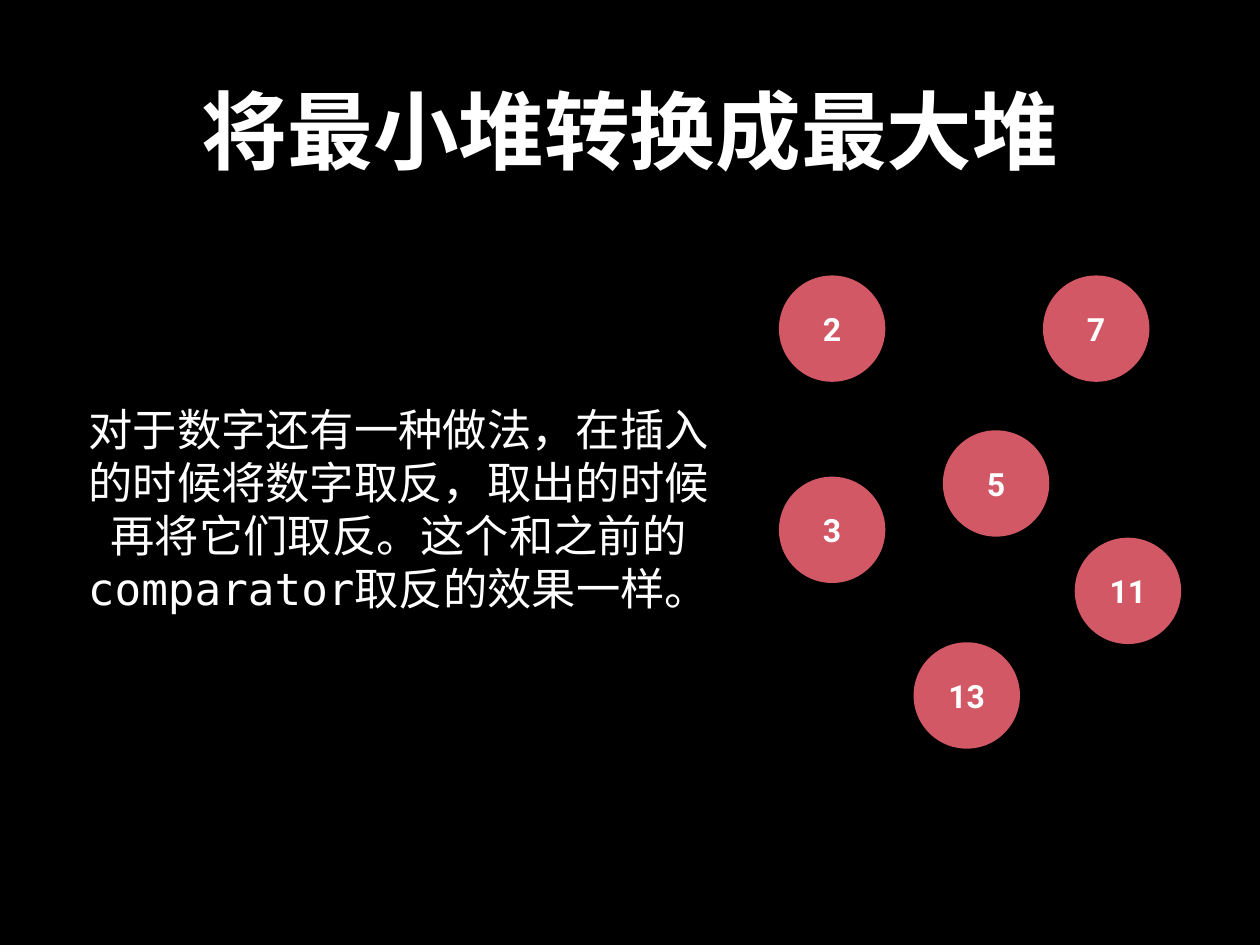
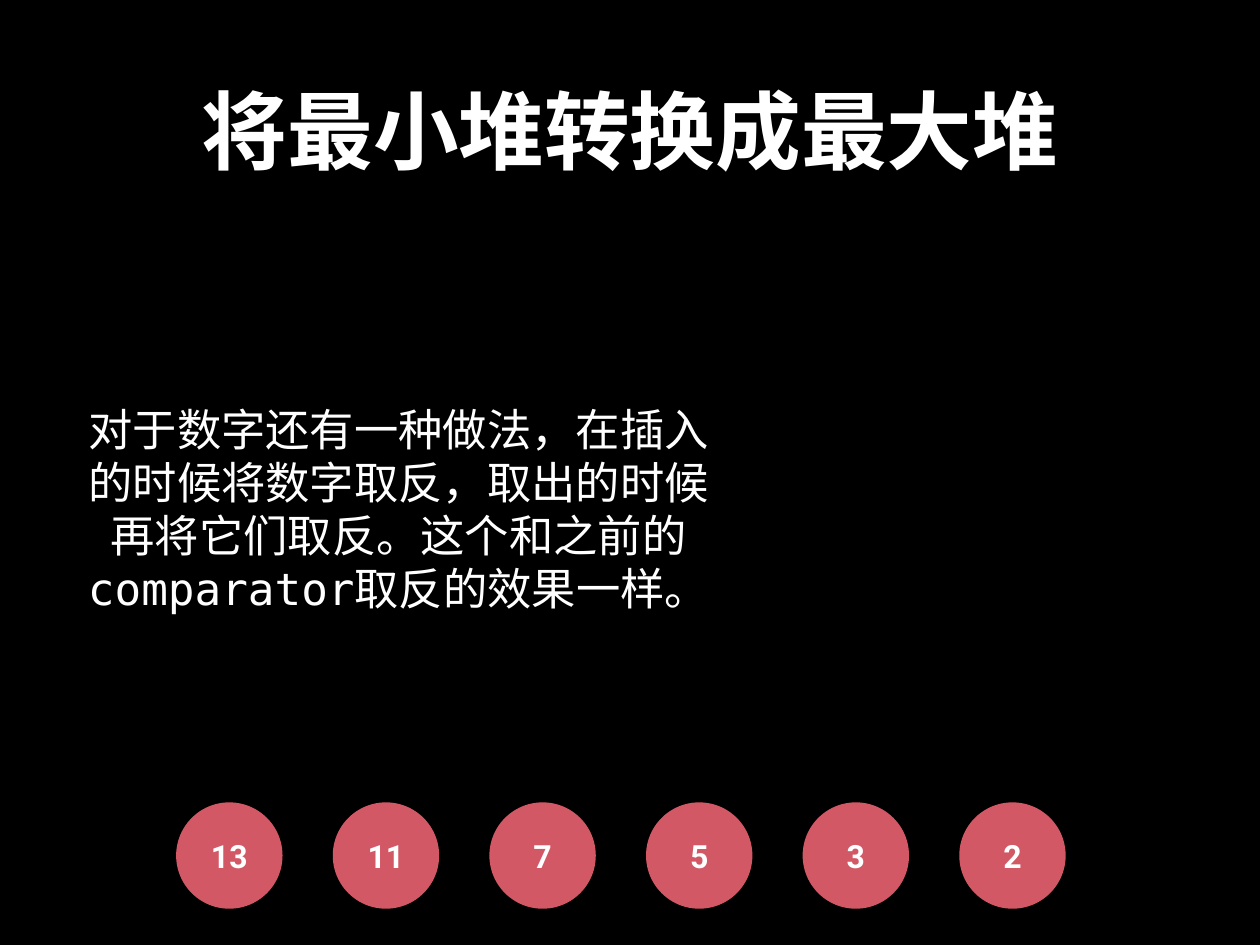
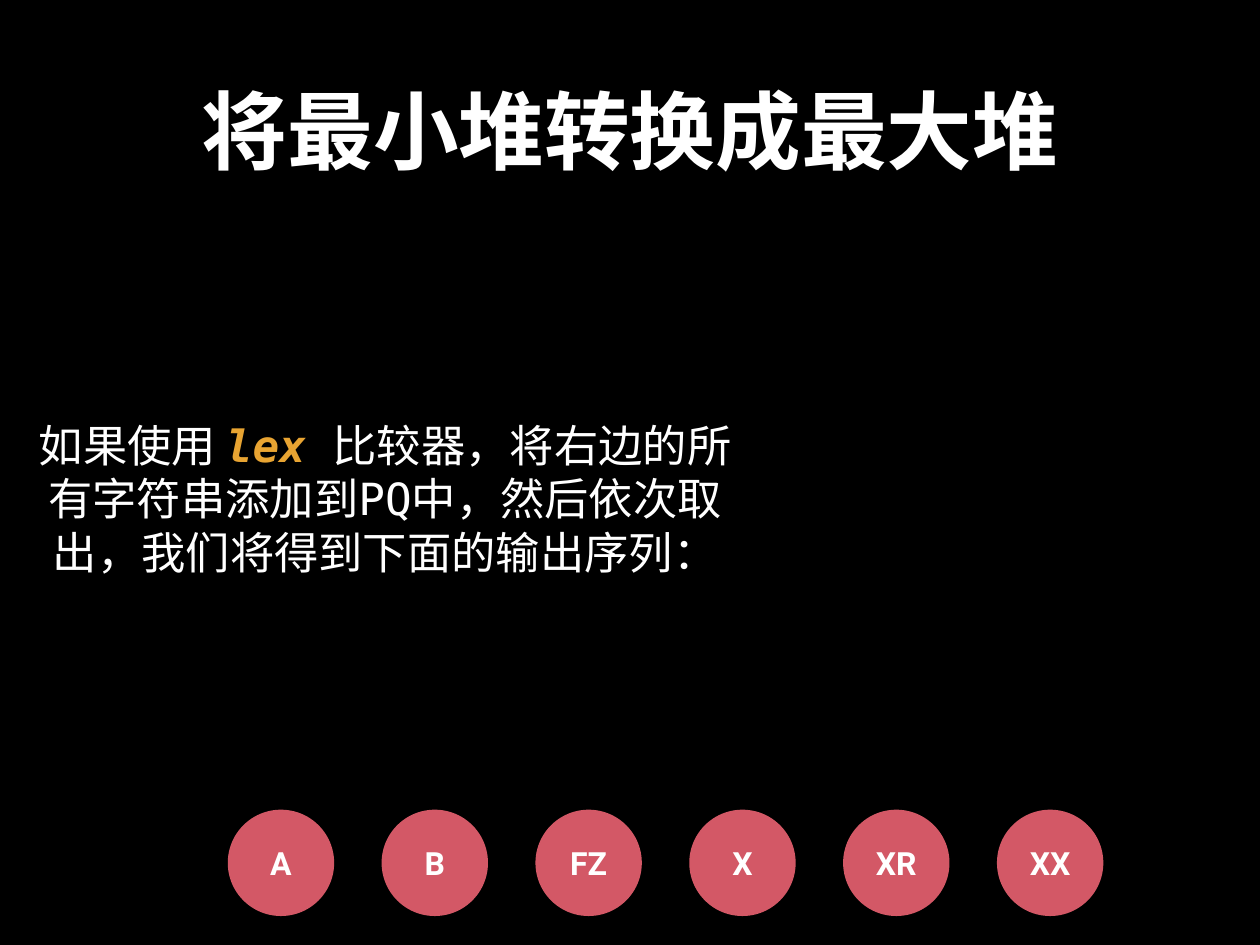
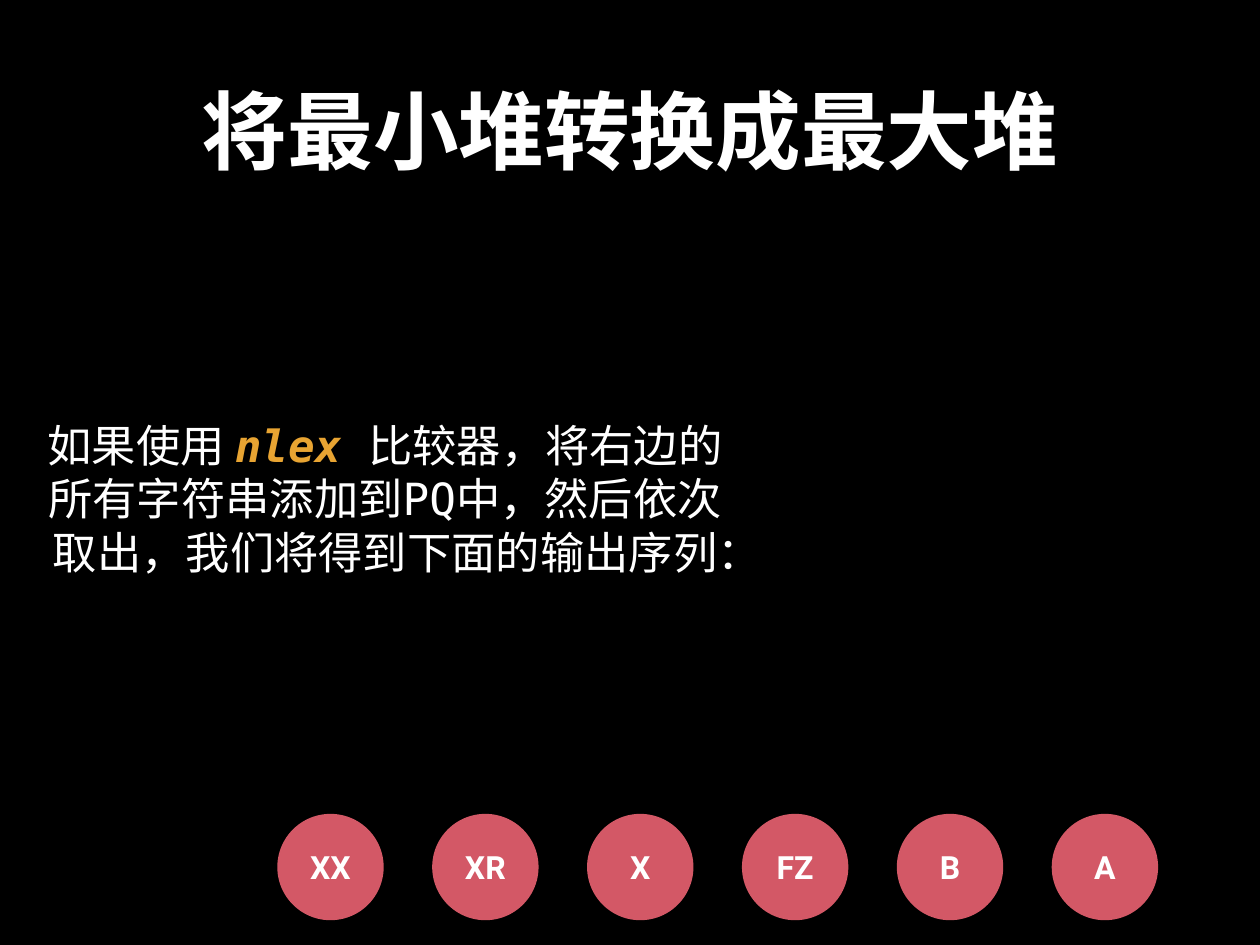
from pptx import Presentation
from pptx.dml.color import RGBColor
from pptx.enum.lang import MSO_LANGUAGE_ID
from pptx.enum.shapes import MSO_SHAPE
from pptx.enum.text import MSO_ANCHOR, MSO_AUTO_SIZE, PP_ALIGN
from pptx.util import Cm, Pt

OVAL = MSO_SHAPE.OVAL
MIDDLE = MSO_ANCHOR.MIDDLE
CENTER = PP_ALIGN.CENTER
FIXED, GROW = MSO_AUTO_SIZE.NONE, MSO_AUTO_SIZE.SHAPE_TO_FIT_TEXT
CHINESE = MSO_LANGUAGE_ID.SIMPLIFIED_CHINESE

COLORS = {"background": "000000", "text": "FFFFFF",
          "circle": "D35866", "keyword": "E8A432"}
MONO, SANS = "DejaVu Sans Mono", "Roboto"
TITLE_ONLY = 5
CIRCLE_SIZE = 3.05
INSET = 0.15

TITLE = "将最小堆转换成最大堆"
NEGATE_TEXT = ("对于数字还有一种做法，在插入的时候将数字取反，取出的时候再将它们取反。"
               "这个和之前的comparator取反的效果一样。")
NEGATE_BOX = (2.13, 11.35, 18.59, 6.45)
COMPARATOR_BOX = (0.74, 11.84, 20.6, 4.9)
HEAP_CIRCLES = [("5", 27.03, 12.34), ("3", 22.33, 13.67), ("11", 30.81, 15.42),
                ("13", 26.19, 18.42), ("2", 22.33, 7.9), ("7", 29.9, 7.9)]
NUMBERS = ["13", "11", "7", "5", "3", "2"]
STRINGS = ["A", "B", "FZ", "X", "XR", "XX"]


def color(name):
    return RGBColor.from_string(COLORS[name])


class HeapDeck:
    """Holds the shared style and the current page."""

    def __init__(self):
        self.deck = Presentation()
        self.deck.slide_width, self.deck.slide_height = Cm(36.12), Cm(27.1)
        fill = self.deck.slide_master.background.fill
        fill.solid()
        fill.fore_color.rgb = color("background")
        self.page = None

    def add_page(self):
        """Start a page with the common title."""
        self.page = self.deck.slides.add_slide(self.deck.slide_layouts[TITLE_ONLY])
        title = self.page.shapes.title
        title.left, title.top = Cm(2.64), Cm(0.71)
        title.width, title.height = Cm(30.84), Cm(6)
        para = self.prepare(title.text_frame)
        self.add_span(para, TITLE, 69.6, bold=True)

    def prepare(self, frame, auto_size=FIXED):
        """Set up a centred text frame and return its first paragraph."""
        frame.word_wrap = True
        frame.auto_size = auto_size
        frame.vertical_anchor = MIDDLE
        frame.margin_left = frame.margin_right = Cm(INSET)
        frame.margin_top = frame.margin_bottom = Cm(INSET)
        para = frame.paragraphs[0]
        para.alignment = CENTER
        return para

    def add_span(self, para, text, size, font=MONO, tint="text",
                 bold=False, italic=False):
        span = para.add_run()
        span.text = text
        span.font.name, span.font.size = font, Pt(size)
        span.font.bold, span.font.italic = bold, italic
        span.font.color.rgb = color(tint)
        span.font.language_id = CHINESE

    def add_text(self, place, *spans):
        """Add a paragraph; each span is its text and its extra formatting."""
        box = self.page.shapes.add_textbox(*map(Cm, place))
        para = self.prepare(box.text_frame, GROW)
        for text, extras in spans:
            self.add_span(para, text, 36, **extras)

    def add_circle(self, label, left, top):
        circle = self.page.shapes.add_shape(
            OVAL, Cm(left), Cm(top), Cm(CIRCLE_SIZE), Cm(CIRCLE_SIZE))
        circle.shadow.inherit = False
        circle.fill.solid()
        circle.fill.fore_color.rgb = color("circle")
        circle.line.fill.background()
        para = self.prepare(circle.text_frame)
        self.add_span(para, label, 26, font=SANS, bold=True)

    def add_row(self, labels, left, top, pitch):
        """Add evenly spaced circles for an output sequence."""
        for index, label in enumerate(labels):
            self.add_circle(label, left + index * pitch, top)

    def add_comparator_text(self, name):
        self.add_text(
            COMPARATOR_BOX,
            ("如果使用 ", {}),
            (f"{name} ", {"tint": "keyword", "bold": True, "italic": True}),
            ("比较器，将右边的所有字符串添加到PQ中，然后依次取出，"
             "我们将得到下面的输出序列：", {}))


def main():
    heap = HeapDeck()

    # Numbers scattered in the heap
    heap.add_page()
    for label, left, top in HEAP_CIRCLES:
        heap.add_circle(label, left, top)
    heap.add_text(NEGATE_BOX, (NEGATE_TEXT, {}))

    # Numbers in output order
    heap.add_page()
    heap.add_row(NUMBERS, 5.05, 23.01, 4.49)
    heap.add_text(NEGATE_BOX, (NEGATE_TEXT, {}))

    # Strings in lexical order, then reversed
    for name, labels, left, top, pitch in [
            ("lex", STRINGS, 6.53, 23.22, 4.41),
            ("nlex", STRINGS[::-1], 7.95, 23.34, 4.44)]:
        heap.add_page()
        heap.add_row(labels, left, top, pitch)
        heap.add_comparator_text(name)

    heap.deck.save("out.pptx")


if __name__ == "__main__":
    main()
